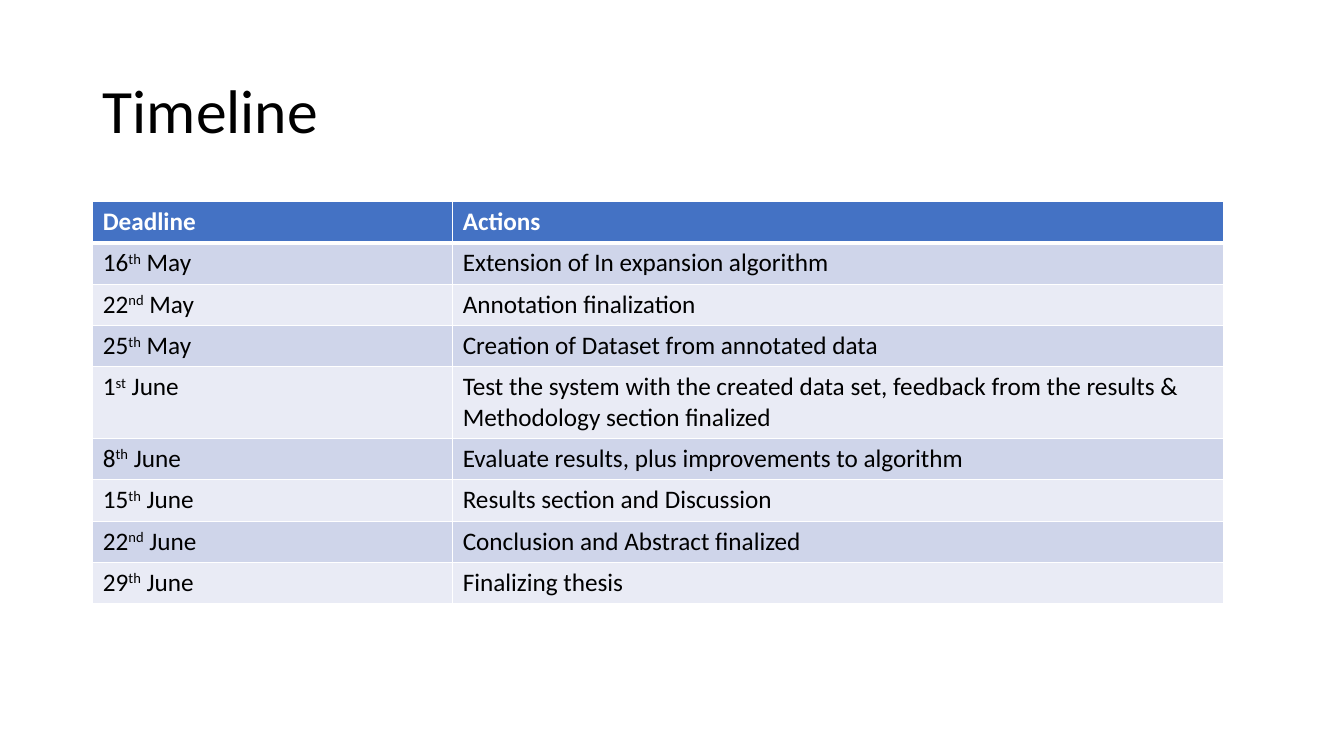
"""Build the thesis timeline slide with its table of deadlines."""
from lxml.etree import SubElement as Sub
from pptx import Presentation
from pptx.dml.color import RGBColor as RGB
from pptx.enum.text import MSO_ANCHOR as Anchor, MSO_AUTO_SIZE as Auto, PP_ALIGN as Align
from pptx.oxml.ns import qn
from pptx.util import Inches, Pt

HUES = {"text": "000000", "white": "FFFFFF", "head": "4472C4", "odd": "CFD5EA", "even": "E9EBF5"}
ROWS = [
    ("Deadline", "Actions"),
    ("16^th^ May", "Extension of In expansion algorithm"),
    ("22^nd^ May", "Annotation finalization"),
    ("25^th^ May", "Creation of Dataset from annotated data"),
    ("1^st^ June", "Test the system with the created data set, "
     "feedback from the results & Methodology section finalized"),
    ("8^th^ June", "Evaluate results, plus improvements to algorithm"),
    ("15^th^ June", "Results section and Discussion"),
    ("22^nd^ June", "Conclusion and Abstract finalized"),
    ("29^th^ June", "Finalizing thesis"),
]


def write(frame, text, size=18, hue="text", bold=False, space=1.0):
    """Write text into a frame, raising each part between carets."""
    para = frame.paragraphs[0]
    para.alignment = Align.LEFT
    para.line_spacing = space
    for i, part in enumerate(text.split("^")):
        run = para.add_run()
        run.text = part
        font = run.font
        font.name, font.size, font.bold = "Calibri", Pt(size), bold
        font.color.rgb = RGB.from_string(HUES[hue])
        if i % 2:
            run._r.get_or_add_rPr().set("baseline", "30000")


def edge(cell, side, width):
    """Draw a white border on one side of a cell."""
    line = Sub(cell._tc.get_or_add_tcPr(), qn(f"a:ln{side}"), w=str(Pt(width)))
    Sub(Sub(line, qn("a:solidFill")), qn("a:srgbClr"), val=HUES["white"])


deck = Presentation()
deck.slide_width, deck.slide_height = Inches(13.33), Inches(7.5)
slide = deck.slides.add_slide(deck.slide_layouts[5])

title = slide.shapes.title
title.left, title.top = Inches(0.92), Inches(0.4)
title.width, title.height = Inches(11.5), Inches(1.45)
title.text_frame.auto_size = Auto.NONE
title.text_frame.vertical_anchor = Anchor.MIDDLE
write(title.text_frame, "Timeline", size=44, space=0.9)

table = slide.shapes.add_table(
    len(ROWS), 2, Inches(0.92), Inches(2), Inches(11.22), Inches(3.69)).table
for col, width in zip(table.columns, (3.57, 7.65)):
    col.width = Inches(width)

for r, texts in enumerate(ROWS):
    table.rows[r].height = Inches(0.41)
    head = r == 0
    fill = "head" if head else "odd" if r % 2 else "even"
    for c, text in enumerate(texts):
        cell = table.cell(r, c)
        for side in "LRTB":
            thick = (head and side == "B") or (r == 1 and side == "T")
            edge(cell, side, 3 if thick else 1)
        cell.fill.solid()
        cell.fill.fore_color.rgb = RGB.from_string(HUES[fill])
        write(cell.text_frame, text, hue="white" if head else "text", bold=head)

deck.save("out.pptx")
